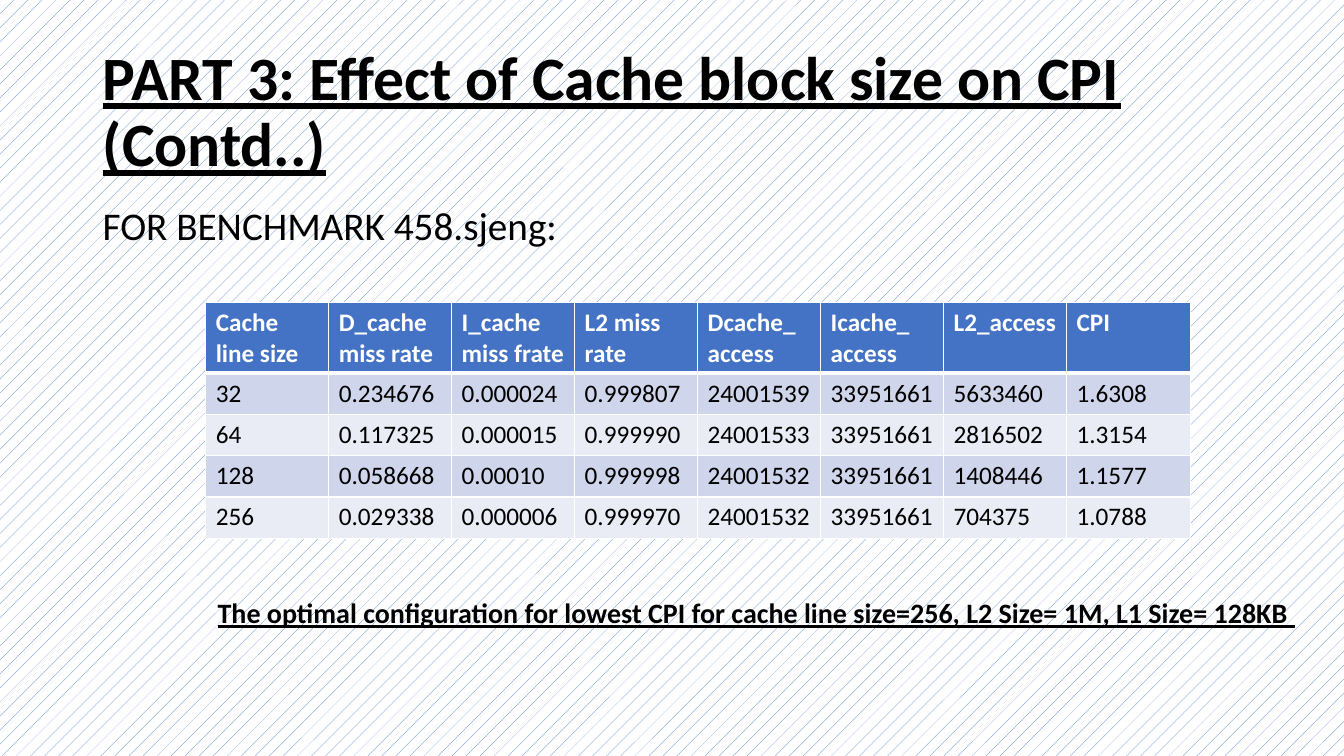
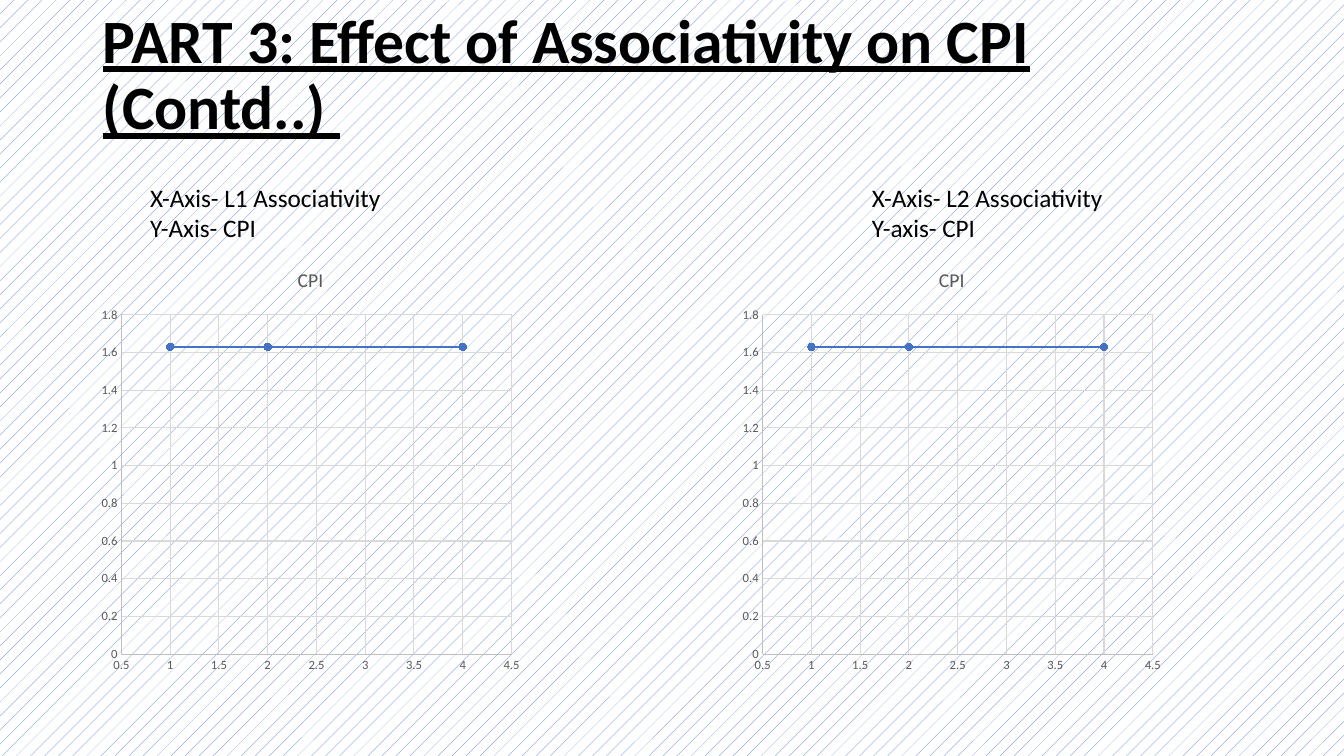
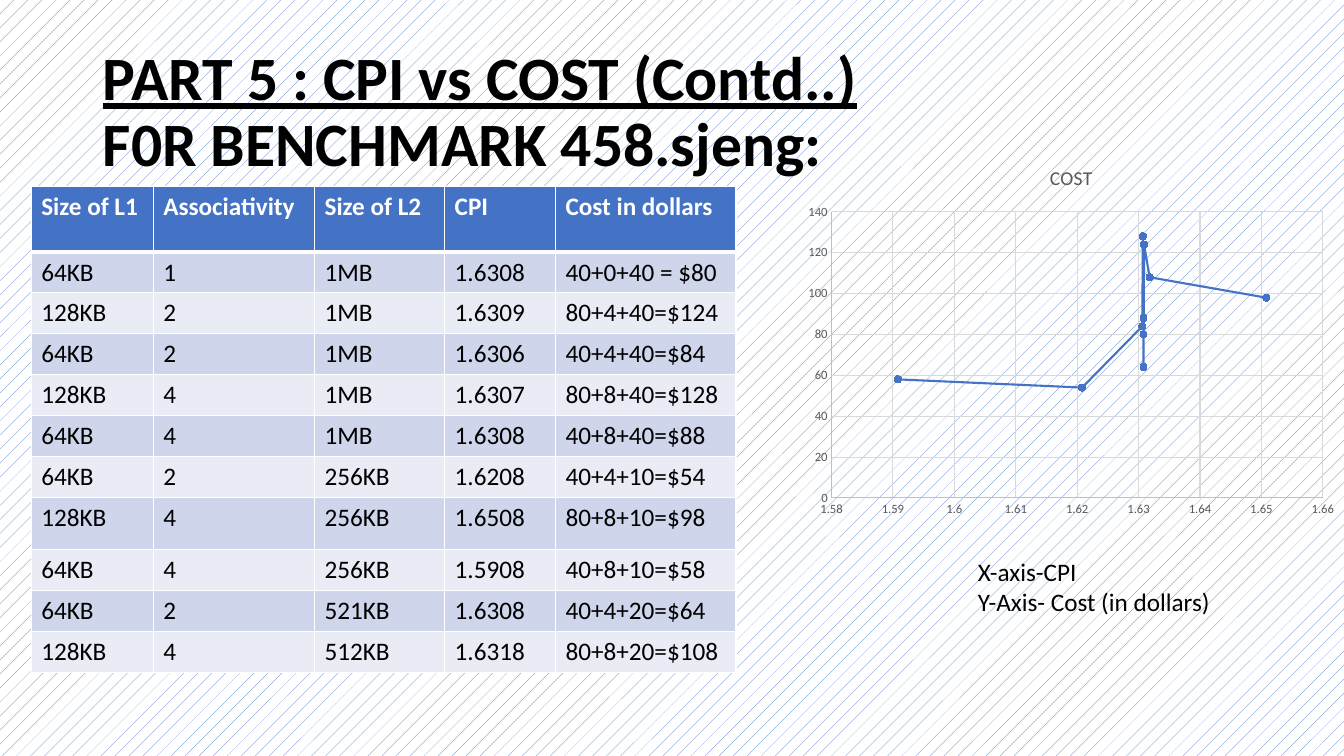
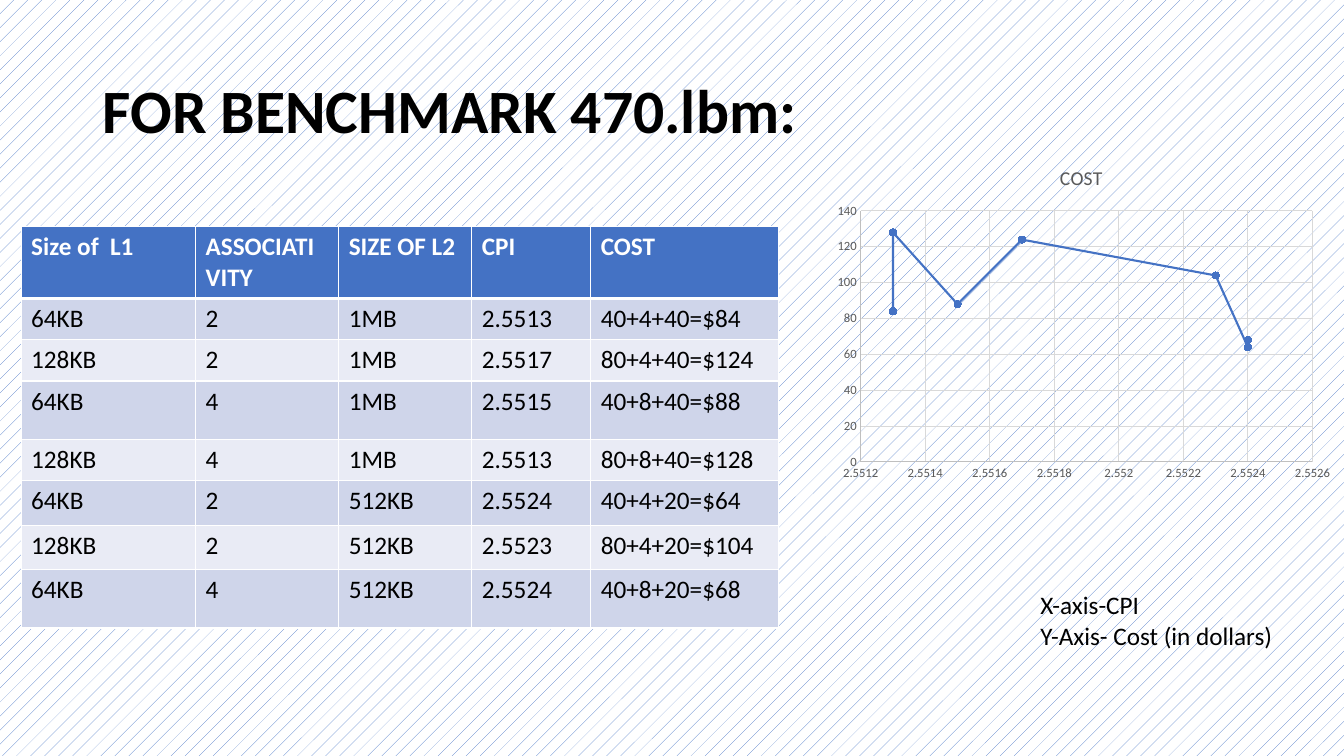
"""Build four slides on cache configuration, CPI and cost."""
from dataclasses import dataclass
from typing import Optional

from lxml import etree
from pptx import Presentation
from pptx import util as u
from pptx.chart import data as chart_data
from pptx.dml.color import RGBColor
from pptx.enum import chart as ch, dml, text
from pptx.oxml import ns, parse_xml
from pptx.util import Inches

FONT = "Calibri"
COLORS = {
    "accent": "4472C4", "white": "FFFFFF", "black": "000000",
    "band_dark": "CFD5EA", "band_light": "E9EBF5",
    "chart_text": "595959", "axis": "BFBFBF", "grid": "D9D9D9",
}


@dataclass
class Label:
    text: str
    left: float
    top: float
    width: float
    height: float = 0.71
    size: float = 18
    strong: bool = False
    wrap: bool = False
    spacing: float = 1.0


@dataclass
class Grid:
    left: float
    top: float
    widths: list[float]
    heights: list[float]
    rows: list[list[str]]


@dataclass
class Scale:
    low: float
    high: float
    step: float


@dataclass
class Plot:
    name: str
    left: float
    top: float
    width: float
    height: float
    points: list[tuple[float, float]]
    x: Scale
    y: Scale
    inner: Optional[tuple[float, float, float, float]] = None


def rgb(name: str) -> RGBColor:
    return RGBColor.from_string(COLORS[name])


def set_font(font, size: float, color: str = "black", bold: bool = False, underline: bool = False) -> None:
    font.name = FONT
    font.size = u.Pt(size)
    font.bold = bold
    font.underline = underline
    font.color.rgb = rgb(color)


def set_line(line, color: str, width: float) -> None:
    line.color.rgb = rgb(color)
    line.width = u.Pt(width)


def add_slide(prs, title: str, underlined: bool = True):
    s = prs.slides.add_slide(prs.slide_layouts.get_by_name("Title Only"))
    sp = s.shapes.title
    sp.left, sp.top, sp.width, sp.height = map(Inches, (0.92, 0.4, 11.5, 1.45))
    tf = sp.text_frame
    tf.text = title
    tf.word_wrap = True
    tf.auto_size = text.MSO_AUTO_SIZE.NONE
    tf.vertical_anchor = text.MSO_ANCHOR.MIDDLE
    p = tf.paragraphs[0]
    p.alignment = text.PP_ALIGN.LEFT
    p.line_spacing = 0.9
    for i, r in enumerate(p.runs):
        set_font(r.font, 44, bold=True, underline=underlined and i == 0)
    return s


def add_label(s, label: Label) -> None:
    sp = s.shapes.add_textbox(*map(Inches, (label.left, label.top, label.width, label.height)))
    tf = sp.text_frame
    tf.text = label.text
    tf.word_wrap = label.wrap
    tf.auto_size = text.MSO_AUTO_SIZE.SHAPE_TO_FIT_TEXT
    for p in tf.paragraphs:
        p.line_spacing = label.spacing
        for r in p.runs:
            set_font(r.font, label.size, bold=label.strong, underline=label.strong)


def set_borders(cell, row: int) -> None:
    tc_pr = cell._tc.get_or_add_tcPr()
    widths = {"L": 1, "R": 1, "T": 3 if row == 1 else 1, "B": 3 if row == 0 else 1}
    for side, width in widths.items():
        ln = etree.SubElement(tc_pr, ns.qn(f"a:ln{side}"), w=str(u.Pt(width)))
        fill = etree.SubElement(ln, ns.qn("a:solidFill"))
        etree.SubElement(fill, ns.qn("a:srgbClr"), val=COLORS["white"])


def add_grid(s, grid: Grid) -> None:
    table = s.shapes.add_table(
        len(grid.rows), len(grid.widths), Inches(grid.left), Inches(grid.top),
        Inches(sum(grid.widths)), Inches(sum(grid.heights))).table
    for column, width in zip(table.columns, grid.widths):
        column.width = Inches(width)
    for i, (row, height) in enumerate(zip(grid.rows, grid.heights)):
        table.rows[i].height = Inches(height)
        header = i == 0
        fill = "accent" if header else "band_dark" if i % 2 else "band_light"
        for j, value in enumerate(row):
            cell = table.cell(i, j)
            cell.text = value
            set_borders(cell, i)
            cell.fill.solid()
            cell.fill.fore_color.rgb = rgb(fill)
            for p in cell.text_frame.paragraphs:
                for r in p.runs:
                    set_font(r.font, 18, "white" if header else "black", bold=header)


def format_axis(axis, scale: Scale) -> None:
    axis.minimum_scale, axis.maximum_scale, axis.major_unit = scale.low, scale.high, scale.step
    axis.major_tick_mark = axis.minor_tick_mark = ch.XL_TICK_MARK.NONE
    axis.has_major_gridlines = True
    set_line(axis.major_gridlines.format.line, "grid", 0.75)
    set_line(axis.format.line, "axis", 0.75)
    set_font(axis.tick_labels.font, 9, "chart_text")
    axis.tick_labels.number_format = "General"
    axis.tick_labels.number_format_is_linked = False


def set_inner_plot(chart, inner: tuple[float, float, float, float]) -> None:
    area = chart._chartSpace.chart.plotArea
    for old in area.findall(ns.qn("c:layout")):
        area.remove(old)
    values = "".join(f'<c:{tag} val="{value}"/>' for tag, value in zip("xywh", inner))
    area.insert(0, parse_xml(
        f'<c:layout {ns.nsdecls("c")}><c:manualLayout><c:layoutTarget val="inner"/>'
        f'<c:xMode val="edge"/><c:yMode val="edge"/>{values}</c:manualLayout></c:layout>'))


def add_plot(s, plot: Plot) -> None:
    data = chart_data.XyChartData()
    points = data.add_series(plot.name)
    for x, y in plot.points:
        points.add_data_point(x, y)
    chart = s.shapes.add_chart(
        ch.XL_CHART_TYPE.XY_SCATTER_LINES,
        *map(Inches, (plot.left, plot.top, plot.width, plot.height)), data).chart
    set_font(chart.font, 10)
    chart.has_legend = False
    chart.has_title = True
    tf = chart.chart_title.text_frame
    tf.text = plot.name
    set_font(tf.paragraphs[0].runs[0].font, 14, "chart_text")
    chart.chart_title.include_in_layout = False
    format_axis(chart.category_axis, plot.x)
    format_axis(chart.value_axis, plot.y)
    chart.plots[0].vary_by_categories = False
    series = chart.plots[0].series[0]
    series.smooth = False
    set_line(series.format.line, "accent", 1.5)
    marker = series.marker
    marker.style = ch.XL_MARKER_STYLE.CIRCLE
    marker.size = 5
    marker.format.fill.solid()
    marker.format.fill.fore_color.rgb = rgb("accent")
    set_line(marker.format.line, "accent", 0.75)
    if plot.inner:
        set_inner_plot(chart, plot.inner)


def build_block_size(prs) -> None:
    s = add_slide(prs, "PART 3: Effect of Cache block size on CPI (Contd..)")
    add_label(s, Label("FOR BENCHMARK 458.sjeng:", 0.92, 2, 11.5, 0.53, 28, wrap=True, spacing=0.9))
    add_grid(s, Grid(2.04, 3, [1.22] * 7 + [1.23], [0.7] + [0.41] * 4, [
        ["Cache line size", "D_cache miss rate", "I_cache miss frate", "L2 miss rate",
         "Dcache_\naccess", "Icache_\naccess", "L2_access", "CPI"],
        ["32", "0.234676", "0.000024", "0.999807", "24001539", "33951661", "5633460", "1.6308"],
        ["64", "0.117325", "0.000015", "0.999990", "24001533", "33951661", "2816502", "1.3154"],
        ["128", "0.058668", "0.00010", "0.999998", "24001532", "33951661", "1408446", "1.1577"],
        ["256", "0.029338", "0.000006", "0.999970", "24001532", "33951661", "704375", "1.0788"],
    ]))
    add_label(s, Label(
        "The optimal configuration for lowest CPI for cache line size=256, L2 Size= 1M, L1 Size= 128KB ",
        2.06, 5.86, 10.98, 0.44, 20, strong=True))


def build_associativity(prs) -> None:
    s = add_slide(prs, "PART 3: Effect of Associativity on CPI (Contd..) \v")
    points = [(ways, 1.63) for ways in (1, 2, 4) for _ in range(3)]
    for left in (0.92, 7.28):
        add_plot(s, Plot("CPI", left, 2.47, 4.32, 4.29, points,
                         Scale(0.5, 4.5, 0.5), Scale(0, 1.8, 0.2)))
    add_label(s, Label("X-Axis- L1 Associativity\nY-Axis- CPI", 1.39, 1.76, 2.57))
    add_label(s, Label("X-Axis- L2 Associativity\nY-axis- CPI", 8.55, 1.76, 2.51))


def build_cost(prs, title: str, underlined: bool, grid: Grid, plot: Plot, left: float, top: float) -> None:
    s = add_slide(prs, title, underlined)
    add_grid(s, grid)
    add_plot(s, plot)
    add_label(s, Label("X-axis-CPI\nY-Axis- Cost (in dollars)", left, top, 2.53))


def main() -> None:
    prs = Presentation()
    prs.slide_width, prs.slide_height = Inches(13.33), Inches(7.5)
    fill = prs.slide_master.background.fill
    fill.patterned()
    fill.pattern = dml.MSO_PATTERN.PERCENT_5
    fill.fore_color.rgb = rgb("accent")
    fill.back_color.rgb = rgb("white")

    build_block_size(prs)
    build_associativity(prs)

    cost_scale = Scale(0, 140, 20)
    sjeng = Grid(0.31, 1.85, [1.21, 1.6, 1.29, 1.1, 1.79], [0.65] + [0.4] * 6 + [0.52] + [0.4] * 3, [
        ["Size of L1", "Associativity", "Size of L2", "CPI", "Cost in dollars"],
        ["64KB", "1", "1MB", "1.6308", "40+0+40 = $80"],
        ["128KB", "2", "1MB", "1.6309", "80+4+40=$124"],
        ["64KB", "2", "1MB", "1.6306", "40+4+40=$84"],
        ["128KB", "4", "1MB", "1.6307", "80+8+40=$128"],
        ["64KB", "4", "1MB", "1.6308", "40+8+40=$88"],
        ["64KB", "2", "256KB", "1.6208", "40+4+10=$54"],
        ["128KB", "4", "256KB", "1.6508", "80+8+10=$98"],
        ["64KB", "4", "256KB", "1.5908", "40+8+10=$58"],
        ["64KB", "2", "521KB", "1.6308", "40+4+20=$64"],
        ["128KB", "4", "512KB", "1.6318", "80+8+20=$108"],
    ])
    sjeng_plot = Plot("COST", 7.91, 1.47, 5.43, 3.73, [
        (1.5908, 58), (1.6208, 54), (1.6306, 84), (1.6307, 128), (1.6308, 88),
        (1.6308, 80), (1.6308, 64), (1.6309, 124), (1.6318, 108), (1.6508, 98),
    ], Scale(1.58, 1.66, 0.01), cost_scale)
    build_cost(prs, "PART 5 : CPI vs COST (Contd..)\vF0R BENCHMARK 458.sjeng:", True,
               sjeng, sjeng_plot, 9.6, 5.47)

    lbm = Grid(0.21, 2.25, [1.73, 1.42, 1.32, 1.18, 1.86],
               [0.7, 0.41, 0.41, 0.58, 0.41, 0.44, 0.44, 0.58], [
        ["Size of  L1", "ASSOCIATIVITY", "SIZE OF L2", "CPI", "COST"],
        ["64KB", "2", "1MB", "2.5513", "40+4+40=$84"],
        ["128KB", "2", "1MB", "2.5517", "80+4+40=$124"],
        ["64KB", "4", "1MB", "2.5515", "40+8+40=$88"],
        ["128KB", "4", "1MB", "2.5513", "80+8+40=$128"],
        ["64KB", "2", "512KB", "2.5524", "40+4+20=$64"],
        ["128KB", "2", "512KB", "2.5523", "80+4+20=$104"],
        ["64KB", "4", "512KB", "2.5524", "40+8+20=$68"],
    ])
    lbm_plot = Plot("COST", 8.12, 1.47, 5.21, 3.46, [
        (2.5513, 84), (2.5513, 128), (2.5515, 88), (2.5517, 124),
        (2.5523, 104), (2.5524, 64), (2.5524, 68),
    ], Scale(2.5512, 2.5526, 0.0002), cost_scale, (0.08, 0.18, 0.86, 0.72))
    build_cost(prs, "FOR BENCHMARK 470.lbm:", False, lbm, lbm_plot, 10.22, 5.8)

    prs.save("out.pptx")


if __name__ == "__main__":
    main()
